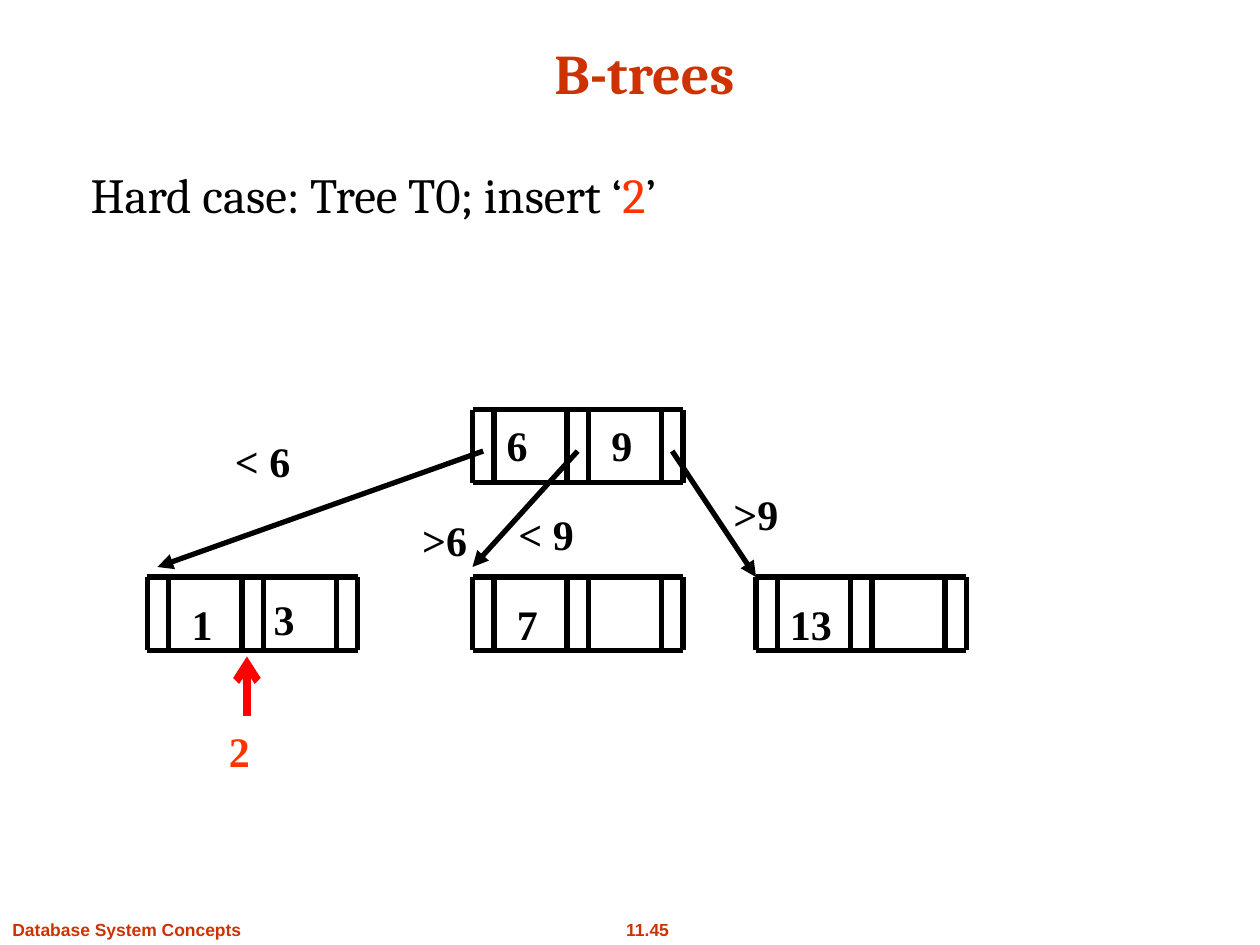
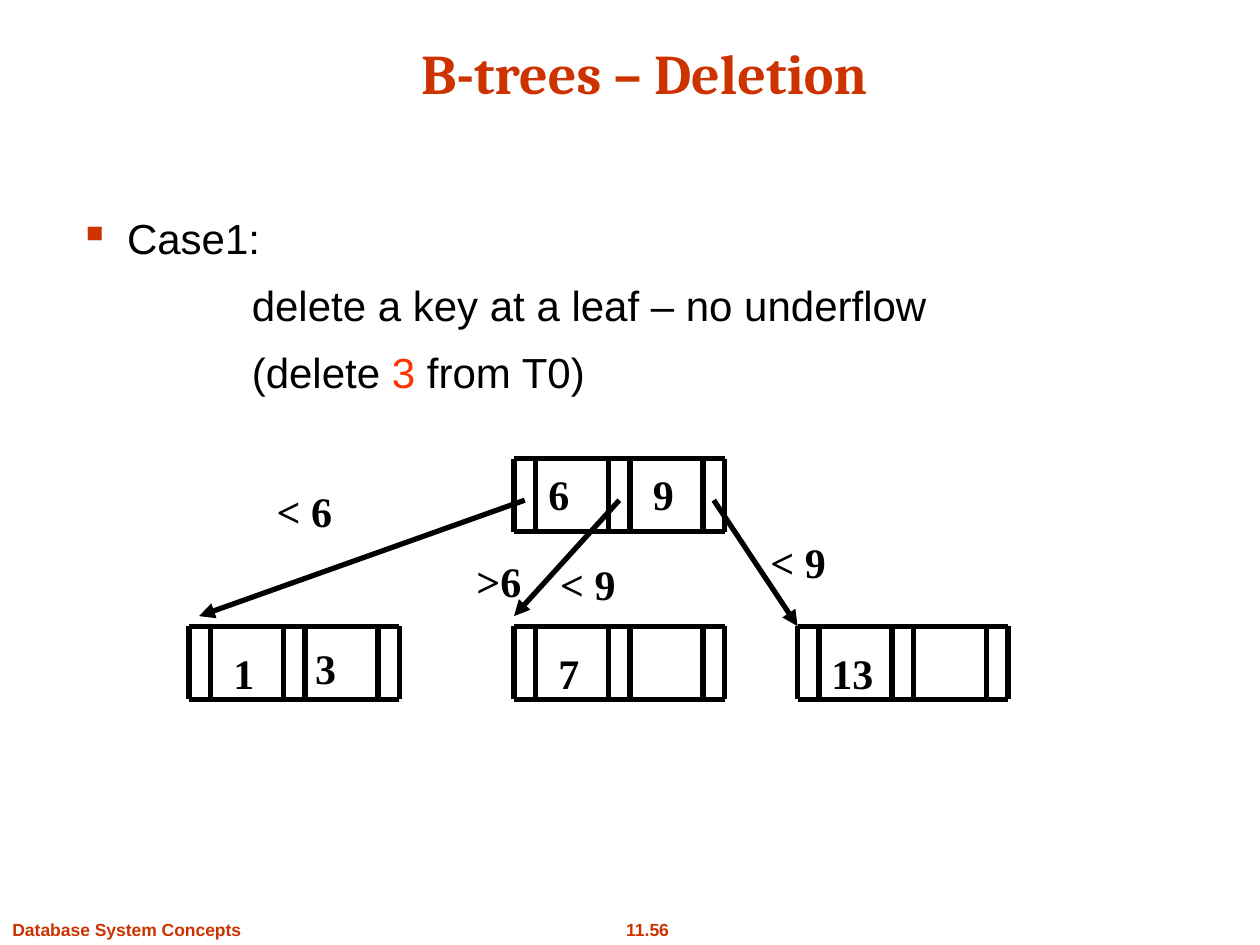
from lxml.etree import SubElement
from pptx import Presentation
from pptx.dml.color import RGBColor
from pptx.enum.shapes import MSO_CONNECTOR
from pptx.enum.text import MSO_ANCHOR, MSO_AUTO_SIZE, PP_ALIGN
from pptx.oxml.ns import qn
from pptx.util import Inches, Pt

BLACK, RUST, HOT, RED = "000000", "CC3300", "FF3300", "FF0000"
TITLE = {"size": 32, "name": "Cambria", "bold": True}
LEAD = {"size": 28, "name": "Cambria", "bold": False}
BODY = {"size": 24, "name": "Arial", "bold": False}
KEY = {"size": 24, "name": "Times New Roman", "bold": True}
FOOT = {"size": 10, "name": "Arial", "bold": True}
SLOT, STEP, WIDE, HIGH = 0.17, 0.75, 1.67, 0.58
ROOT = (2.58, 0)
LEAVES = [(0, 1.33), (2.58, 1.33), (4.83, 1.33)]
TIPS = [(0.08, 1.25), (2.58, 1.25), (4.83, 1.33)]
KEYS = [("1", 0.25, 1.42, 0.37), ("3", 0.9, 1.38, 0.37),
        ("6", 2.75, 0, 0.37), ("7", 2.83, 1.42, 0.37),
        ("9", 3.58, 0, 0.37), ("13", 5, 1.42, 0.53),
        ("< 6", 0.59, 0.13, 0.65), ("< 9", 2.84, 0.71, 0.65)]


def paint(color, code):
    """Set a colour format from a hex string."""
    color.rgb = RGBColor.from_string(code)


def write(para, runs, style):
    """Add (text, colour) runs to a paragraph in one style."""
    for text, code in runs:
        run = para.add_run()
        run.text = text
        for name, value in style.items():
            setattr(run.font, name, Pt(value) if name == "size" else value)
        paint(run.font.color, code)


def frame(slide, box, size, wrap=False):
    """Add an empty text box and return its text frame."""
    area = slide.shapes.add_textbox(*map(Inches, box)).text_frame
    area.word_wrap = wrap
    area.margin_top = Inches(0.05 + size / 800)
    return area


def label(slide, text, box, style=KEY, code=BLACK, align=PP_ALIGN.CENTER):
    """Add a one-line label."""
    para = frame(slide, box, style["size"]).paragraphs[0]
    para.alignment = align
    write(para, [(text, code)], style)


def stroke(shapes, start, end, code=BLACK, width=3, head=None):
    """Draw a straight line, with an arrowhead if asked."""
    line = shapes.add_connector(MSO_CONNECTOR.STRAIGHT,
                                *map(Inches, (*start, *end)))
    line.line.width = Pt(width)
    paint(line.line.color, code)
    if head:
        SubElement(line.line._get_or_add_ln(), qn("a:tailEnd"), type=head)
    SubElement(line._element.spPr, qn("a:effectLst"))


def node(slide, left, top):
    """Draw a node with three pointer slots and two key cells."""
    shapes = slide.shapes.add_group_shape().shapes
    for i in range(3):
        for shift in (0, SLOT):
            x = left + i * STEP + shift
            stroke(shapes, (x, top), (x, top + HIGH))
    for y in (top, top + HIGH):
        stroke(shapes, (left, y), (left + WIDE, y))


def tree(slide, left, top, extra):
    """Draw tree T0 with its keys, arrows and range labels."""
    for x, y in [ROOT, *LEAVES]:
        node(slide, left + x, top + y)
    for i, (x, y) in enumerate(TIPS):
        start = (left + ROOT[0] + SLOT / 2 + i * STEP, top + 0.33)
        stroke(slide.shapes, start, (left + x, top + y), head="triangle")
    for text, x, y, width in KEYS + extra:
        label(slide, text, (left + x, top + y, width, 0.5))


def base(deck, title, number):
    """Add a slide with its title and footers."""
    slide = deck.slides.add_slide(deck.slide_layouts[5])
    head = slide.shapes.title
    for name, value in zip(("left", "top", "width", "height"),
                           (0.7, 0.22, 8.83, 0.67)):
        setattr(head, name, Inches(value))
    area = head.text_frame
    area.auto_size = MSO_AUTO_SIZE.NONE
    area.vertical_anchor = MSO_ANCHOR.BOTTOM
    area.paragraphs[0].alignment = PP_ALIGN.CENTER
    write(area.paragraphs[0], [(title, RUST)], TITLE)
    label(slide, number, (4.86, 7.23, 0.56, 0.27), FOOT, RUST)
    label(slide, "Database System Concepts", (0, 7.23, 2.02, 0.27),
          FOOT, RUST, PP_ALIGN.LEFT)
    return slide


def insert(deck):
    """Build the slide on inserting a key."""
    slide = base(deck, "B-trees", "11.45")
    area = frame(slide, (0.62, 1.22, 8.58, 0.79), LEAD["size"], True)
    write(area.paragraphs[0], [("Hard case: Tree T0; insert ‘", BLACK),
                               ("2", HOT), ("’", BLACK)], LEAD)
    tree(slide, 1.17, 3.25, [(">6", 2.08, 0.75, 0.56),
                             (">9", 4.55, 0.55, 0.56)])
    label(slide, "2", (1.69, 5.68, 0.42, 0.5), code=HOT)
    stroke(slide.shapes, (1.96, 5.68), (1.96, 5.21), RED, 4.5, "arrow")


def steps(slide, box):
    """Write the bulleted case and its indented lines."""
    area = frame(slide, box, BODY["size"], True)
    rows = [[("Case1:", BLACK)],
            [("delete a key at a leaf – no underflow", BLACK)],
            [("(delete ", BLACK), ("3", HOT), (" from T0)", BLACK)]]
    for i, runs in enumerate(rows):
        para = area.add_paragraph() if i else area.paragraphs[0]
        props = para._p.get_or_add_pPr()
        props.set("marL", str(Inches(1.37 if i else 0.38)))
        props.set("indent", str(Inches(0 if i else -0.38)))
        if i:
            para.space_before = Pt(9.5)
        else:
            tint = SubElement(props, qn("a:buClr"))
            SubElement(tint, qn("a:srgbClr"), val=RUST)
            SubElement(props, qn("a:buChar"), char="▪")
        write(para, runs, BODY)


def delete(deck):
    """Build the slide on deleting a key."""
    slide = base(deck, "B-trees – Deletion", "11.56")
    steps(slide, (0.53, 1.61, 9.25, 1.6))
    tree(slide, 1.5, 3.64, [(">6", 2.18, 0.69, 0.56),
                            ("< 9", 4.51, 0.54, 0.65)])


def main():
    """Build and save the deck."""
    deck = Presentation()
    deck.slide_width, deck.slide_height = Inches(10), Inches(7.5)
    insert(deck)
    delete(deck)
    deck.save("out.pptx")


if __name__ == "__main__":
    main()
